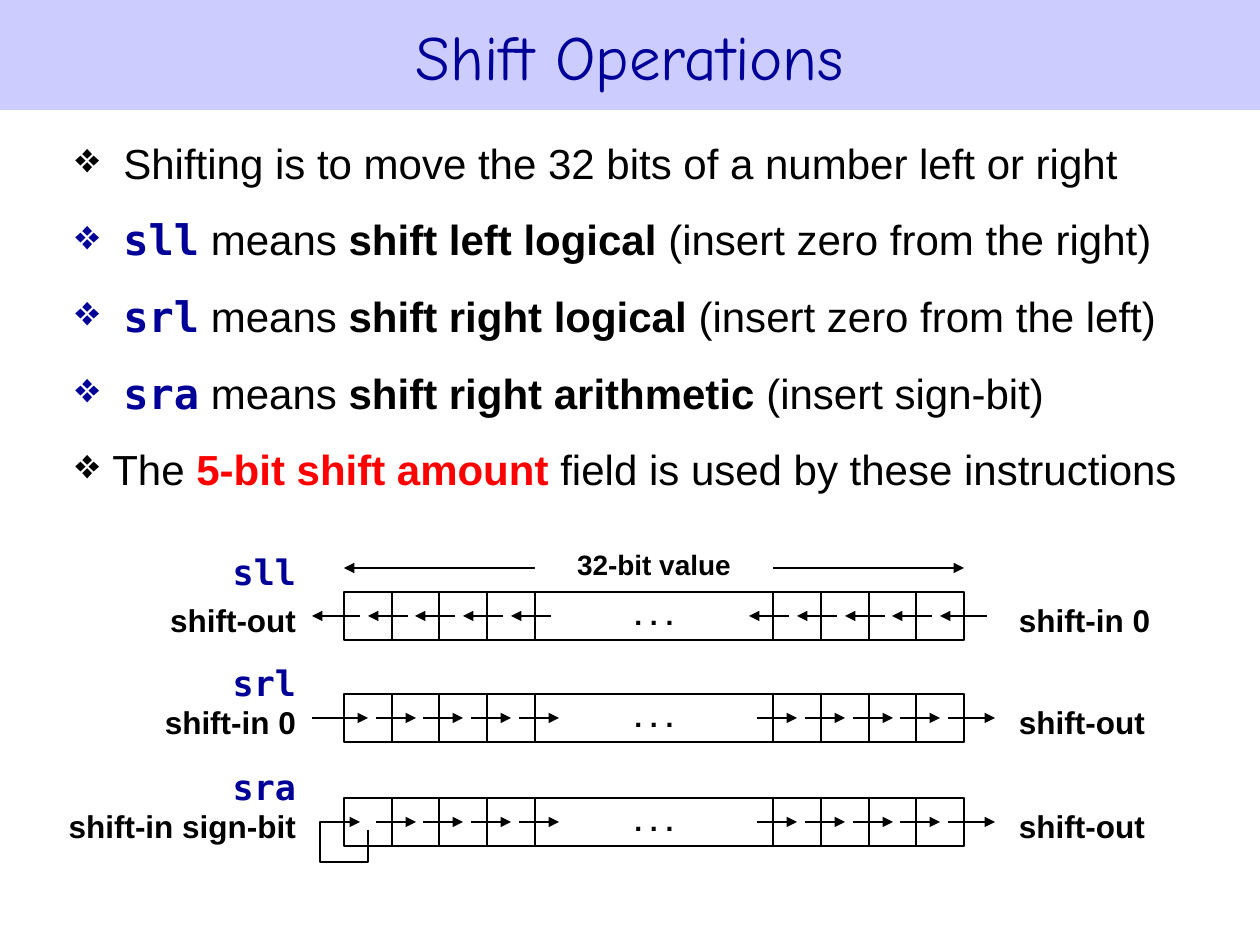
from pptx import Presentation
from pptx.dml.color import RGBColor
from pptx.enum.shapes import MSO_CONNECTOR as Conn, MSO_SHAPE as Shape
from pptx.enum.text import MSO_ANCHOR as Anchor, PP_ALIGN as Align
from pptx.oxml.ns import qn
from pptx.util import Pt
from lxml.etree import SubElement as Sub

SCALE = 914400 / 126
BLACK, NAVY, RED = "000000", "000099", "FF0000"
SANS, MONO = "Arial", "DejaVu Sans Mono"


def px(n):
    return round(n * SCALE)


def color(text):
    return RGBColor.from_string(text)


class Page:
    """Holds the drawing style and the slide being filled."""

    def __init__(self, slide):
        self.slide = slide
        self.shapes = slide.shapes

    def font(self, target, size, face=SANS, hue=BLACK, bold=False):
        target.size, target.name, target.bold = Pt(size), face, bold
        target.color.rgb = color(hue)

    def pen(self, item, ends=()):
        item.line.color.rgb = color(BLACK)
        item.line.width = Pt(0.75)
        for end in ends:
            Sub(item.line._get_or_add_ln(), qn("a:" + end), type="triangle")

    def text(self, item, words, size, align, face=SANS, hue=BLACK, bold=True, space=None):
        frame = item.text_frame
        frame.word_wrap = True
        frame.vertical_anchor = Anchor.MIDDLE
        frame.margin_left = frame.margin_right = 0
        par = frame.paragraphs[0]
        par.text, par.alignment, par.line_spacing = words, align, space
        self.font(par.font, size, face, hue, bold)
        return par

    def rect(self, x, y, w, h, fill=None, line=True):
        box = self.shapes.add_shape(Shape.RECTANGLE, px(x), px(y), px(w), px(h))
        box.shadow.inherit = False
        if fill:
            box.fill.solid()
            box.fill.fore_color.rgb = color(fill)
        else:
            box.fill.background()
        if line:
            self.pen(box)
        else:
            box.line.fill.background()
        return box

    def label(self, x, y, w, h, words, size, align, **style):
        box = self.shapes.add_textbox(px(x), px(y), px(w), px(h))
        self.text(box, words, size, align, **style)

    def arrow(self, start, end, y, ends=("tailEnd",)):
        line = self.shapes.add_connector(Conn.STRAIGHT, px(start), px(y), px(end), px(y))
        self.pen(line, ends)
        Sub(line._element.spPr, qn("a:effectLst"))

    def bent(self, points):
        first, *rest = [(px(x), px(y)) for x, y in points]
        build = self.shapes.build_freeform(*first)
        build.add_line_segments(rest, close=False)
        line = build.convert_to_shape()
        line.shadow.inherit = False
        line.fill.background()
        self.pen(line, ["tailEnd"])

    def bullets(self, x, y, w, h, items):
        frame = self.shapes.add_textbox(px(x), px(y), px(w), px(h)).text_frame
        frame.word_wrap = True
        for i, (left, hang, parts) in enumerate(items):
            par = frame.add_paragraph() if i else frame.paragraphs[0]
            par.space_before = Pt(15)
            props = par._p.get_or_add_pPr()
            props.set("marL", str(px(left)))
            props.set("indent", str(-px(hang)))
            Sub(props, qn("a:buChar"), char="❖")
            for words, style in parts:
                run = par.add_run()
                run.text = words
                self.font(run.font, 24, **style)


def edge(i):
    return 344 + round(620 * i / 13)


def means(code, name, rest):
    return 48, 48, [(code, dict(face=MONO, hue=NAVY, bold=True)), (" means ", {}),
                    (name, dict(bold=True)), (rest, {})]


deck = Presentation()
deck.slide_width, deck.slide_height = px(1260), px(945)
page = Page(deck.slides.add_slide(deck.slide_layouts[6]))

title = page.rect(0, 0, 1260, 110, fill="CCCCFF", line=False)
page.text(title, "Shift Operations", 36, Align.CENTER, face="Comic Neue", hue=NAVY, bold=False)

page.bullets(63, 131, 1147, 373, [
    (48, 48, [("Shifting is to move the 32 bits of a number left or right", {})]),
    means("sll", "shift left logical", " (insert zero from the right)"),
    means("srl", "shift right logical ", "(insert zero from the left)"),
    means("sra", "shift right arithmetic", " (insert sign-bit)"),
    (37, 49, [("The ", {}), ("5-bit shift amount ", dict(hue=RED, bold=True)),
              ("field is used by these instructions", {})]),
])

CELLS = (0, 1, 2, 3, 9, 10, 11, 12)
STEPS = (1, 2, 3, 4, 9, 10, 11, 12)
ROWS = [
    ("sll", 592, 552, "shift-out", "shift-in 0"),
    ("srl", 694, 663, "shift-in 0", "shift-out"),
    ("sra", 798, 766, "shift-in sign-bit", "shift-out"),
]
for code, top, high, left, right in ROWS:
    for i in CELLS:
        page.rect(edge(i), top, edge(i + 1) - edge(i), 48)
    gap = page.rect(edge(4), top, edge(9) - edge(4), 48)
    dots = page.text(gap, ". . .", 28, Align.CENTER)
    dots.runs[0]._r.get_or_add_rPr().set("baseline", "20000")
    page.label(66, top, 230, 48, left, 18, Align.RIGHT, space=1.2)
    page.label(1019, top, 151, 48, right, 18, Align.LEFT, space=1.2)
    page.label(200, high, 96, 40, code, 20, Align.RIGHT, face=MONO, hue=NAVY)
    if code == "sll":
        spans = [(edge(i) + 16, edge(i) - 24) for i in STEPS] + [(360, 312), (987, 940)]
    else:
        spans = [(edge(i) - 16, edge(i) + 24) for i in STEPS] + [(948, 995)]
    if code == "srl":
        spans.append((312, 368))
    for start, end in spans:
        page.arrow(start, end, top + 24)

page.bent([(368, 830), (368, 862), (320, 862), (320, 822), (360, 822)])
page.arrow(edge(0), edge(13), 568, ("headEnd", "tailEnd"))
width = page.rect(edge(4), 544, edge(9) - edge(4), 40, fill="FFFFFF", line=False)
page.text(width, "32-bit value", 16, Align.CENTER)

deck.save("out.pptx")
